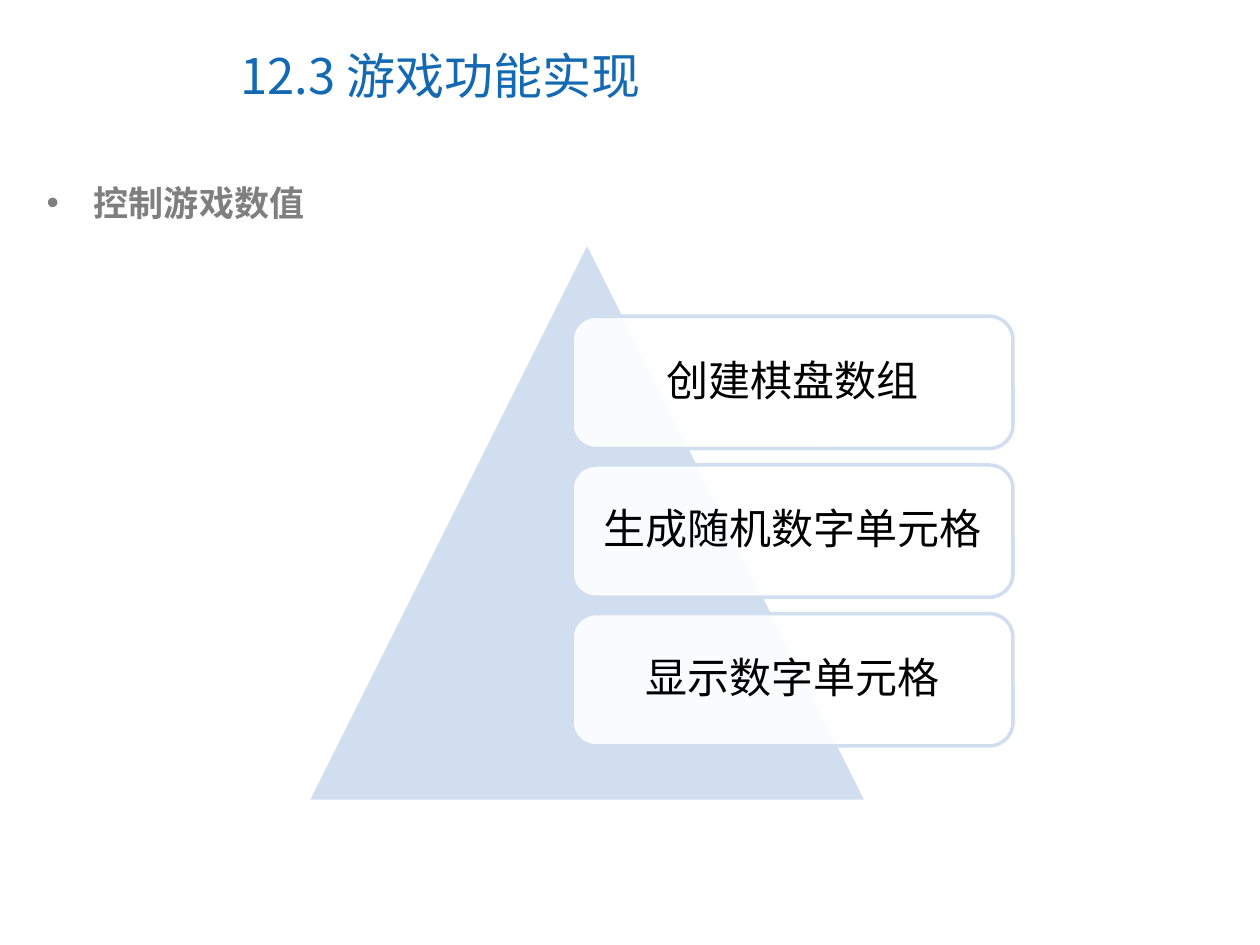
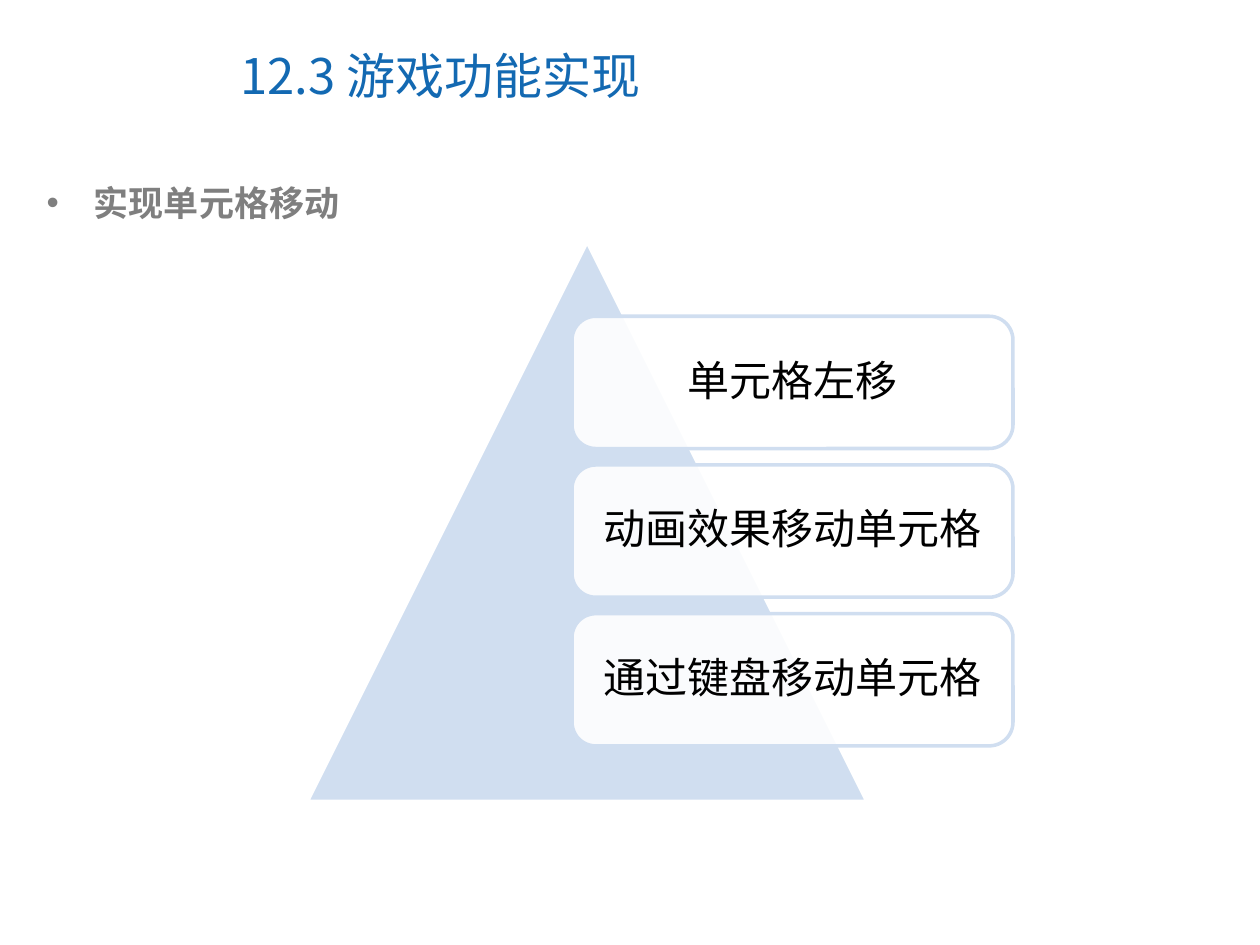
"""Build two slides on the game's functions, each with three steps on a pyramid."""
from pptx import Presentation
from pptx.dml.color import RGBColor
from pptx.enum.shapes import MSO_SHAPE
from pptx.enum.text import MSO_ANCHOR, MSO_AUTO_SIZE, PP_ALIGN
from pptx.oxml.ns import qn
from pptx.util import Inches, Pt
from lxml import etree

TRIANGLE = MSO_SHAPE.ISOSCELES_TRIANGLE
ROUNDED = MSO_SHAPE.ROUNDED_RECTANGLE
LEFT, CENTER = PP_ALIGN.LEFT, PP_ALIGN.CENTER
TOP, MIDDLE = MSO_ANCHOR.TOP, MSO_ANCHOR.MIDDLE
NO_FIT = MSO_AUTO_SIZE.NONE

BLUE, GREY, PALE, WHITE, BLACK = "1369B2", "7F7F7F", "D0DEF0", "FFFFFF", "000000"
CJK_FONT, LATIN_FONT = "Noto Sans CJK SC", "Arial"

CHAPTER = "12.3 游戏功能实现"
SECTIONS = [
    (2, "控制游戏数值", ["创建棋盘数组", "生成随机数字单元格", "显示数字单元格"]),
    (3, "实现单元格移动", ["单元格左移", "动画效果移动单元格", "通过键盘移动单元格"]),
]
STEP_TOP, STEP_PITCH = 2.51, 1.18


def color(value):
    """Turn a hex string into a colour."""
    return RGBColor.from_string(value)


def place(shape, left, top, width, height):
    """Move and size a shape, in inches."""
    shape.left, shape.top = Inches(left), Inches(top)
    shape.width, shape.height = Inches(width), Inches(height)


def write(frame, text, size, ink, font=CJK_FONT, bold=False, align=LEFT, anchor=MIDDLE):
    """Fill a frame with one formatted paragraph and return the paragraph."""
    frame.text = text
    frame.word_wrap = True
    frame.auto_size = NO_FIT
    frame.vertical_anchor = anchor
    paragraph = frame.paragraphs[0]
    paragraph.alignment = align
    paragraph.space_before = Pt(0)
    paragraph.font.size = Pt(size)
    paragraph.font.bold = bold
    paragraph.font.color.rgb = color(ink)
    paragraph.font.name = font
    defaults = paragraph._p.pPr.find(qn("a:defRPr"))
    etree.SubElement(defaults, qn("a:ea"), typeface=CJK_FONT)
    return paragraph


def number(paragraph, start):
    """Number a paragraph with a hanging indent of half an inch."""
    properties = paragraph._p.get_or_add_pPr()
    properties.set("marL", str(Inches(0.5)))
    properties.set("indent", str(-Inches(0.5)))
    bullet_color = etree.SubElement(properties, qn("a:buClr"))
    etree.SubElement(bullet_color, qn("a:srgbClr"), val=GREY)
    etree.SubElement(properties, qn("a:buFont"), typeface="+mj-lt")
    etree.SubElement(properties, qn("a:buAutoNum"), type="arabicPeriod", startAt=str(start))


def add_panel(slide, preset, box, fill, line):
    """Add a flat preset shape with a two-point outline."""
    panel = slide.shapes.add_shape(preset, *map(Inches, box))
    panel.shadow.inherit = False
    panel.fill.solid()
    panel.fill.fore_color.rgb = color(fill)
    panel.line.color.rgb = color(line)
    panel.line.width = Pt(2)
    return panel


def add_step(slide, row, text):
    """Add one translucent rounded step in its row."""
    step = add_panel(slide, ROUNDED, (4.54, STEP_TOP + row * STEP_PITCH, 3.5, 1.05), WHITE, PALE)
    step.adjustments[0] = 0.18
    fill_color = step._element.spPr.find(qn("a:solidFill"))[0]
    etree.SubElement(fill_color, qn("a:alpha"), val="90000")
    frame = step.text_frame
    frame.margin_left = frame.margin_right = Inches(0.15)
    frame.margin_top = frame.margin_bottom = Inches(0.15)
    paragraph = write(frame, text, 24, BLACK, LATIN_FONT, align=CENTER)
    paragraph.line_spacing = 0.9
    paragraph.space_after = Pt(10.5)


def add_section(deck, start, heading, steps):
    """Add a slide with the chapter title, a numbered heading and the pyramid."""
    slide = deck.slides.add_slide(deck.slide_layouts[1])
    title, body = slide.placeholders
    place(title, 1.81, 0.17, 5.16, 0.85)
    write(title.text_frame, CHAPTER, 28, BLUE)
    place(body, 0.27, 1.39, 9.22, 0.44)
    number(body.text_frame.paragraphs[0], start)
    write(body.text_frame, heading, 20, GREY, bold=True, anchor=TOP)
    add_panel(slide, TRIANGLE, (2.44, 1.92, 4.44, 4.44), PALE, WHITE)
    for row, text in enumerate(steps):
        add_step(slide, row, text)


def main():
    """Build and save the deck."""
    deck = Presentation()
    deck.slide_width, deck.slide_height = Inches(10), Inches(7.5)
    for section in SECTIONS:
        add_section(deck, *section)
    deck.save("out.pptx")


if __name__ == "__main__":
    main()
